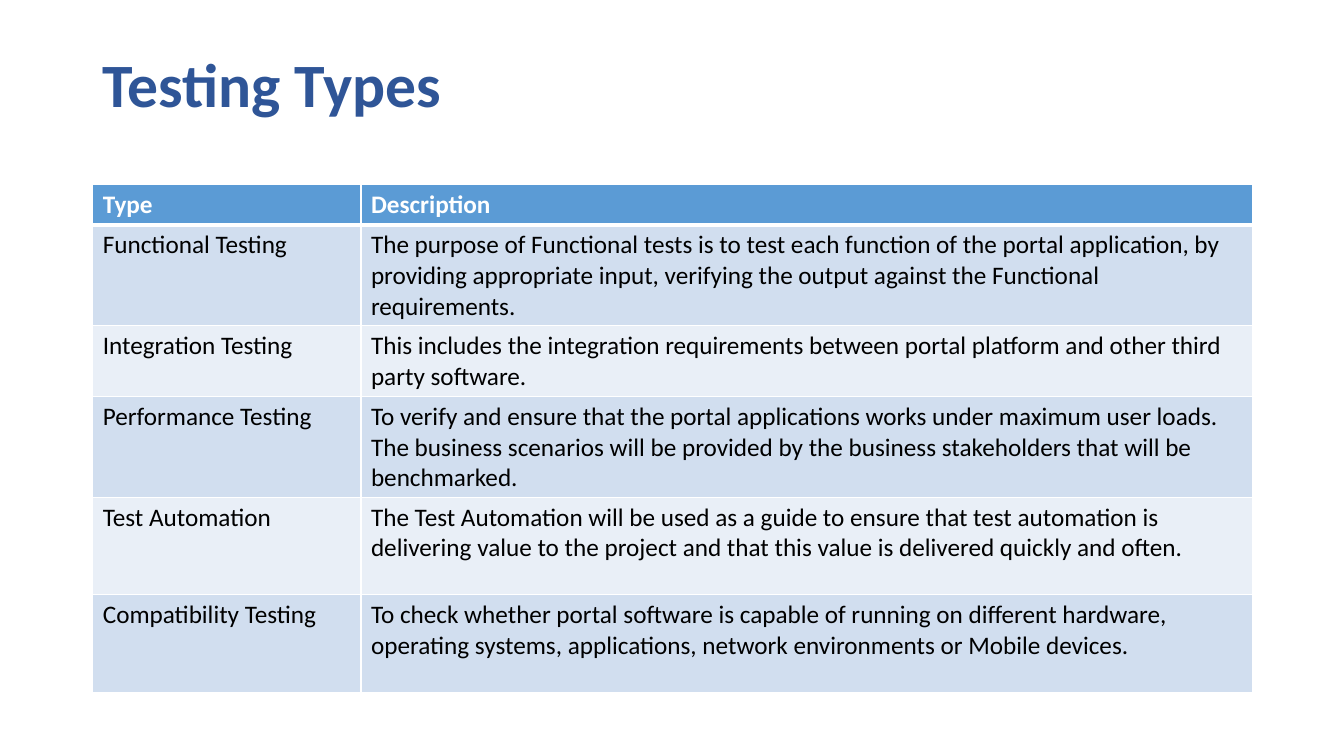
from lxml.etree import SubElement as Sub
from pptx import Presentation
from pptx.dml.color import RGBColor as RGB
from pptx.enum.text import MSO_ANCHOR as Anchor
from pptx.oxml.ns import qn
from pptx.util import Inches, Pt

COLORS = {
    "title": "2F5597",
    "head": "5B9BD5",
    "odd": "D1DEEF",
    "even": "E9EFF7",
    "text": "000000",
    "white": "FFFFFF",
}

HEADS = ("Type", "Description")
TESTS = [
    ("Functional Testing",
     "The purpose of Functional tests is to test each function of the portal "
     "application, by providing appropriate input, verifying the output "
     "against the Functional requirements."),
    ("Integration Testing",
     "This includes the integration requirements between portal platform and "
     "other third party software."),
    ("Performance Testing",
     "To verify and ensure that the portal applications works under maximum "
     "user loads. The business scenarios will be provided by the business "
     "stakeholders that will be benchmarked."),
    ("Test Automation",
     "The Test Automation will be used as a guide to ensure that test "
     "automation is delivering value to the project and that this value is "
     "delivered quickly and often."),
    ("Compatibility Testing",
     "To check whether portal software is capable of running on different "
     "hardware, operating systems, applications, network environments or "
     "Mobile devices."),
]
WIDTHS = (2.66, 8.84)
HEIGHTS = (0.39, 0.97, 0.68, 0.97, 0.97, 0.97)


def style(para, color, **form):
    font = para.runs[0].font
    font.name = "Calibri"
    font.color.rgb = RGB.from_string(COLORS[color])
    for key, value in form.items():
        setattr(font, key, value)


def border(cell, sides):
    props = cell._tc.get_or_add_tcPr()
    for side, width in sides.items():
        line = Sub(props, qn(f"a:ln{side}"), w=str(Pt(width)))
        Sub(Sub(line, qn("a:solidFill")), qn("a:srgbClr"), val=COLORS["white"])


deck = Presentation()
deck.slide_width, deck.slide_height = Inches(13.33), Inches(7.5)
slide = deck.slides.add_slide(deck.slide_layouts[6])

# Title
box = slide.shapes.add_textbox(Inches(0.92), Inches(0.4), Inches(11.5), Inches(0.94))
frame = box.text_frame
frame.word_wrap = True
frame.vertical_anchor = Anchor.MIDDLE
para = frame.paragraphs[0]
para.text = "Testing Types"
para.line_spacing = 0.9
style(para, "title", size=Pt(44), bold=True)

# Table grid
rows = [HEADS, *TESTS]
table = slide.shapes.add_table(
    len(rows), len(HEADS), Inches(0.92), Inches(1.83),
    Inches(sum(WIDTHS)), Inches(sum(HEIGHTS))).table
for col, width in zip(table.columns, WIDTHS):
    col.width = Inches(width)
for row, height in zip(table.rows, HEIGHTS):
    row.height = Inches(height)

# Cells: header, then alternating bands, with a thick rule under the header
for r, texts in enumerate(rows):
    head = r == 0
    band = "head" if head else ("even", "odd")[r % 2]
    sides = {"L": 0.96, "R": 0.96,
             "T": 3 if r == 1 else 0.96, "B": 3 if head else 0.96}
    for c, text in enumerate(texts):
        cell = table.cell(r, c)
        cell.text = text
        border(cell, sides)
        cell.fill.solid()
        cell.fill.fore_color.rgb = RGB.from_string(COLORS[band])
        style(cell.text_frame.paragraphs[0], "white" if head else "text",
              size=Pt(18), bold=head)

deck.save("out.pptx")
